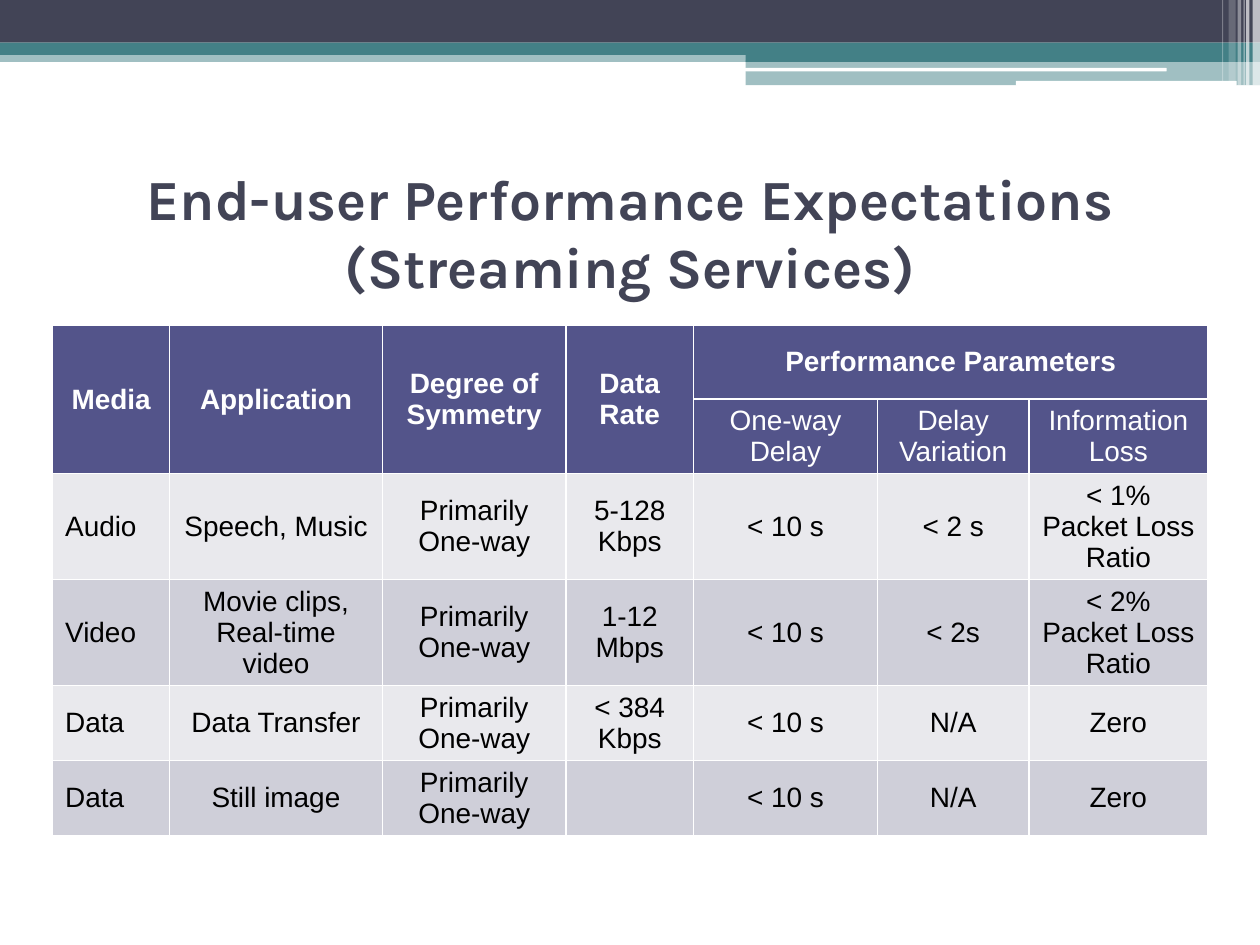
"""Builds the slide on end-user performance expectations for streaming services."""
from lxml.etree import SubElement
from pptx import Presentation
from pptx.dml.color import RGBColor
from pptx.enum.shapes import MSO_SHAPE as Shape
from pptx.enum.text import MSO_ANCHOR as Anchor, MSO_AUTO_SIZE as AutoSize, PP_ALIGN as Align
from pptx.oxml.ns import qn
from pptx.util import Cm, Pt

COLORS = {
    "slate": "424456",
    "teal": "438086",
    "white": "FFFFFF",
    "header": "53548A",
    "light_row": "E9E9ED",
    "dark_row": "CFCFD9",
    "text": "000000",
}


def color(name):
    return RGBColor.from_string(COLORS[name])


def add_bar(left, top, width, height, fill, opacity=100, kind=Shape.RECTANGLE):
    bar = slide.shapes.add_shape(kind, Cm(left), Cm(top), Cm(width), Cm(height))
    bar.shadow.inherit = False
    bar.line.fill.background()
    bar.fill.solid()
    bar.fill.fore_color.rgb = color(fill)
    if opacity < 100:
        rgb = bar.fill._xPr.find(qn("a:solidFill"))[0]
        SubElement(rgb, qn("a:alpha"), val=str(opacity * 1000))
    return bar


prs = Presentation()
prs.slide_width, prs.slide_height = Cm(25.4), Cm(19.05)
slide = prs.slides.add_slide(prs.slide_layouts[5])

add_bar(0, 1.02, 25.4, 0.23, "teal", 50)
add_bar(0, 0, 25.4, 0.86, "slate")
add_bar(0, 0.86, 25.4, 0.25, "teal")
add_bar(15.03, 1, 10.37, 0.25, "teal")
add_bar(15.03, 1.22, 10.37, 0.5, "teal", 50)

for left, top, width, height in [(15.02, 1.37, 8.5, 0.07), (20.48, 1.63, 4.45, 0.1)]:
    rule = add_bar(left, top, width, height, "white", kind=Shape.ROUNDED_RECTANGLE)
    rule.adjustments[0] = 0.17

for left, width, height, opacity in [
    (25.25, 0.15, 1.73, 65),
    (25.12, 0.07, 1.73, 65),
    (25.07, 0.02, 1.73, 60),
    (24.95, 0.07, 1.73, 40),
    (24.77, 0.14, 1.63, 20),
    (24.64, 0.02, 1.63, 30),
]:
    add_bar(left, 0, width, height, "white", opacity)

title = slide.shapes.title
title.left, title.top, title.width, title.height = Cm(1.27), Cm(3.18), Cm(22.86), Cm(2.97)
title.text_frame.text = "End-user Performance Expectations (Streaming Services)"
title.text_frame.word_wrap = True
title.text_frame.auto_size = AutoSize.NONE
title.text_frame.vertical_anchor = Anchor.MIDDLE
heading = title.text_frame.paragraphs[0]
heading.alignment = Align.CENTER
heading.font.name = "Karla"
heading.font.size = Pt(32.4)
heading.font.bold = True
heading.font.color.rgb = color("slate")

services = [
    ["Media", "Application", "Degree of Symmetry", "Data Rate", "Performance Parameters", "", ""],
    ["", "", "", "", "One-way Delay", "Delay Variation", "Information Loss"],
    ["Audio", "Speech, Music", "Primarily One-way", "5-128 Kbps", "< 10 s", "< 2 s", "< 1% Packet Loss Ratio"],
    ["Video", "Movie clips, Real-time video", "Primarily One-way", "1-12 Mbps", "< 10 s", "< 2s", "< 2% Packet Loss Ratio"],
    ["Data", "Data Transfer", "Primarily One-way", "< 384 Kbps", "< 10 s", "N/A", "Zero"],
    ["Data", "Still image", "Primarily One-way", "", "< 10 s", "N/A", "Zero"],
]
column_widths = [2.36, 4.29, 3.7, 2.57, 3.71, 3.05, 3.61]
row_heights = [1.48, 1.5, 2.13, 2.13, 1.5, 1.5]

expectations = slide.shapes.add_table(
    len(services), len(column_widths), Cm(1.06), Cm(6.56), Cm(sum(column_widths)), Cm(sum(row_heights))
).table
for column, width in zip(expectations.columns, column_widths):
    column.width = Cm(width)
for row, height in zip(expectations.rows, row_heights):
    row.height = Cm(height)

for r, service in enumerate(services):
    is_header = r < 2
    fill = "header" if is_header else ("light_row", "dark_row")[r % 2]
    for c, value in enumerate(service):
        cell = expectations.cell(r, c)
        cell.text = value
        cell.vertical_anchor = Anchor.MIDDLE
        cell.fill.solid()
        cell.fill.fore_color.rgb = color(fill)
        entry = cell.text_frame.paragraphs[0]
        entry.alignment = Align.LEFT if c == 0 and not is_header else Align.CENTER
        entry.font.name = "Arial"
        entry.font.size = Pt(16)
        entry.font.bold = r == 0
        entry.font.color.rgb = color("white" if is_header else "text")

for c in range(4):
    expectations.cell(0, c).merge(expectations.cell(1, c))
expectations.cell(0, 4).merge(expectations.cell(0, 6))

prs.save("out.pptx")
